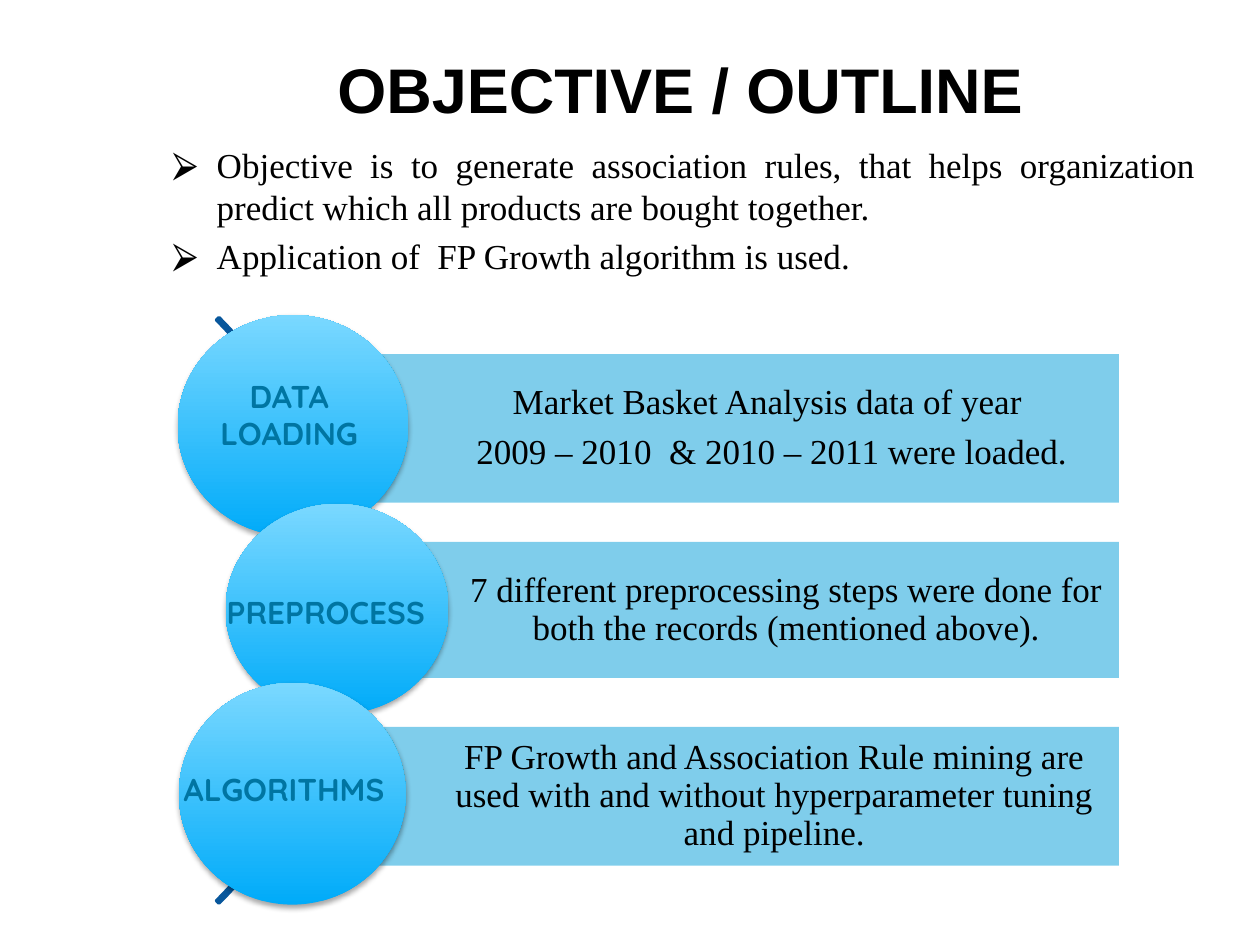
from lxml.etree import SubElement as Sub
from pptx import Presentation
from pptx.dml.color import RGBColor as Rgb
from pptx.enum.shapes import MSO_SHAPE as Kind
from pptx.enum.text import MSO_ANCHOR as Anchor, MSO_AUTO_SIZE as Fit, PP_ALIGN as Align
from pptx.oxml.ns import qn
from pptx.util import Inches, Pt

HUES = {"ink": "000000", "arc": "08579C", "bar": "009DD9",
        "low": "00ABF9", "high": "7AD8FF", "label": "0075A2"}
SERIF = "Times New Roman"

deck = Presentation()
deck.slide_width, deck.slide_height = Inches(10), Inches(7.5)
CELL = deck.slide_width / 100  # grid of 100 columns by 75 rows


def area(*cells):
    """Turn left, top, width and height in grid cells into lengths."""
    return [round(n * CELL) for n in cells]


def style(frame, pads, font, size, hue, align, bold=False):
    """Set wrapping, insets in inches, and the look of every run."""
    frame.word_wrap = True
    (frame.margin_left, frame.margin_top,
     frame.margin_right, frame.margin_bottom) = map(Inches, pads)
    for para in frame.paragraphs:
        para.alignment = align
        for run in para.runs:
            run.font.name, run.font.size, run.font.bold = font, Pt(size), bold
            run.font.color.rgb = Rgb.from_string(HUES[hue])


slide = deck.slides.add_slide(deck.slide_layouts[1])
shapes = slide.shapes

# Title and bullets
title, body = shapes.title, slide.placeholders[1]
title.left, title.top, title.width, title.height = area(23.7, 1.5, 60.6, 8.5)
title.text_frame.text = "OBJECTIVE / OUTLINE"
title.text_frame.auto_size = Fit.NONE
title.text_frame.vertical_anchor = Anchor.BOTTOM
style(title.text_frame, (0, 0.05, 0, 0), "Arial", 36, "ink", Align.CENTER, True)

body.left, body.top, body.width, body.height = area(11.2, 10.9, 84.7, 14.8)
body.text_frame.text = (
    "Objective is to generate association rules, that helps organization "
    "predict which all products are bought together.\n"
    "Application of  FP Growth algorithm is used.")
body.text_frame.auto_size = Fit.NONE
style(body.text_frame, (0.1, 0.05, 0.1, 0.05), SERIF, 20, "ink", Align.JUSTIFY)
for para in body.text_frame.paragraphs:
    para.space_before = Pt(3.6)
    props = para._p.get_or_add_pPr()
    props.set("marL", str(Inches(0.5)))
    props.set("indent", str(Inches(-0.35)))
    Sub(Sub(props, qn("a:buClr")), qn("a:srgbClr"), val=HUES["ink"])
    Sub(props, qn("a:buChar"), char="⮚")

# Arc behind the steps
arc = shapes.add_shape(Kind.BLOCK_ARC, *area(-38.7, 15.6, 65.7, 65.7))
for i, value in enumerate((189, 27, 0.004)):
    arc.adjustments[i] = value
arc.shadow.inherit = False
arc.fill.background()
arc.line.color.rgb = Rgb.from_string(HUES["arc"])
arc.line.width = Pt(2)

# Steps: bar, its text, then the disc over its left end
RIGHT = 88.8
steps = [
    ((26.6, 28.1, 11.8), (14.1, 25, 18.3, 17.6),
     "Market Basket Analysis data of year \n2009 – 2010  & 2010 – 2011 were loaded."),
    ((28.9, 43, 10.8), (17.9, 40, 17.7, 16.7),
     "7 different preprocessing steps were done for both the records (mentioned above)."),
    ((27, 57.7, 11), (14.2, 54.2, 18, 17.6),
     "FP Growth and Association Rule mining are used with and without "
     "hyperparameter tuning and pipeline."),
]
for (left, top, tall), spot, words in steps:
    bar = shapes.add_shape(Kind.RECTANGLE, *area(left, top, RIGHT - left, tall))
    bar.shadow.inherit = False
    bar.line.fill.background()
    bar.fill.solid()
    bar.fill.fore_color.rgb = Rgb.from_string(HUES["bar"])
    tint = bar._element.spPr.find(".//" + qn("a:srgbClr"))
    Sub(tint, qn("a:alpha"), val="50000")
    bar.text_frame.text = words
    bar.text_frame.vertical_anchor = Anchor.MIDDLE
    style(bar.text_frame, (0.77, 0.06, 0.06, 0.06), SERIF, 20, "ink", Align.CENTER)
    for i, para in enumerate(bar.text_frame.paragraphs):
        para.line_spacing = 0.9
        para.space_before = Pt(7 * i)

    disc = shapes.add_shape(Kind.OVAL, *area(*spot))
    disc.line.fill.background()
    disc.fill.gradient()
    disc.fill.gradient_angle = 90
    for stop, hue in zip(disc.fill.gradient_stops, ("low", "high")):
        stop.color.rgb = Rgb.from_string(HUES[hue])
    disc.shadow.inherit = False
    glow = Sub(disc._element.spPr.find(qn("a:effectLst")), qn("a:outerShdw"),
               blurRad=str(Pt(3.1)), dist=str(Pt(1.8)), dir="5400000", rotWithShape="0")
    shade = Sub(glow, qn("a:srgbClr"), val=HUES["ink"])
    Sub(shade, qn("a:alpha"), val="35000")

# Disc labels
labels = [
    ("DATA LOADING", (15.2, 29.4, 15.5, 7.4), Align.CENTER),
    ("PREPROCESS", (17, 46.6, 21.1, 4), Align.LEFT),
    ("ALGORITHMS", (13.6, 60.6, 20.2, 4), Align.LEFT),
]
for words, spot, align in labels:
    label = shapes.add_textbox(*area(*spot))
    label.text_frame.text = words
    label.text_frame.auto_size = Fit.SHAPE_TO_FIT_TEXT
    style(label.text_frame, (0.1, 0.05, 0.1, 0.05), "Quicksand", 18, "label", align, True)

deck.save("out.pptx")
